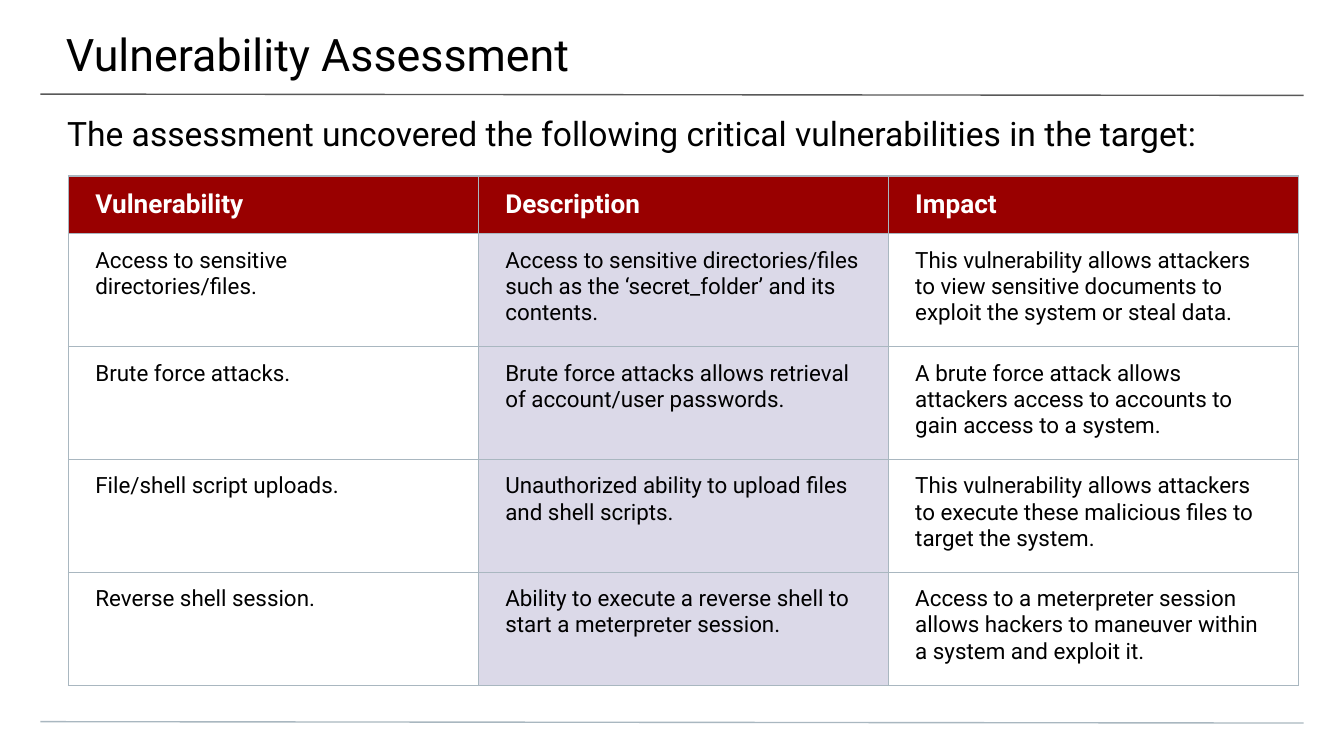
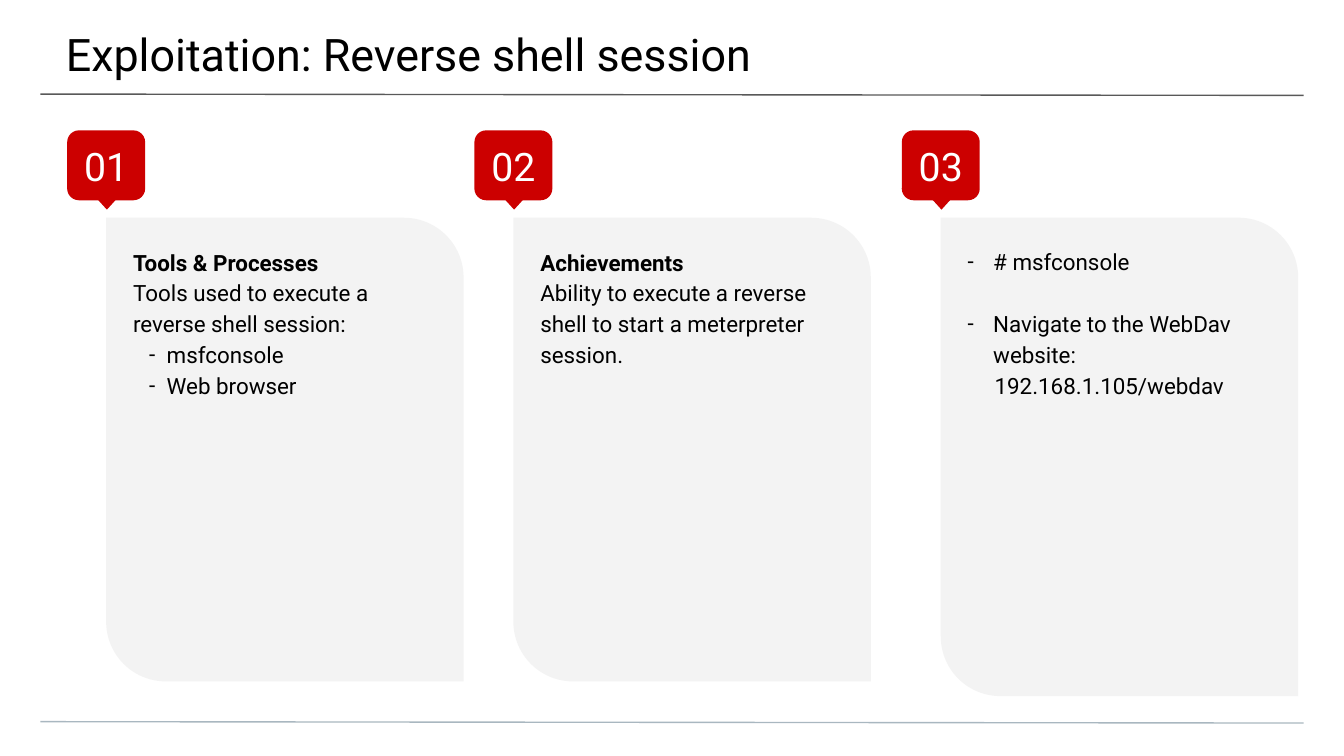
from dataclasses import dataclass

from lxml import etree
from pptx import Presentation
from pptx import util as u
from pptx.dml.color import RGBColor
from pptx.enum import shapes, text
from pptx.oxml import ns

IN = u.Inches
KIND = shapes.MSO_SHAPE


@dataclass(frozen=True)
class Theme:
    font: str = "Roboto"
    black: str = "000000"
    white: str = "FFFFFF"
    rule: str = "595959"
    line: str = "A9B7C0"
    head: str = "990000"
    tint: str = "DBD9E8"
    badge: str = "CC0000"
    panel: str = "F3F3F3"
    title: int = 24
    lead: int = 18
    label: int = 14
    body: int = 12
    count: int = 21
    stroke: float = 0.75


@dataclass(frozen=True)
class Para:
    words: str
    bold: bool = False
    left: float = 0
    hang: float = 0
    before: float = 0


class Deck:
    def __init__(self, theme):
        self.theme = theme
        self.file = Presentation()
        self.file.slide_width = IN(10)
        self.file.slide_height = IN(10) * 9 // 16
        self.slide = None

    def page(self, words):
        t = self.theme
        self.slide = self.file.slides.add_slide(self.file.slide_layouts[5])
        self.line(0.7, t.rule)
        self.line(5.37, t.line)
        title = self.slide.shapes.title
        self.place(title, -0.01, 0, 10.03, 0.58)
        frame = self.frame(title, (0.5, 0.2, 0.3, 0.1))
        self.run(frame.paragraphs[0], words, t.title)

    def place(self, shape, *box):
        shape.left, shape.top, shape.width, shape.height = map(IN, box)

    def insets(self, item, pads):
        (item.margin_left, item.margin_top,
         item.margin_right, item.margin_bottom) = map(IN, pads)

    def frame(self, shape, pads, anchor=text.MSO_ANCHOR.TOP):
        frame = shape.text_frame
        frame.word_wrap = True
        frame.auto_size = text.MSO_AUTO_SIZE.NONE
        frame.vertical_anchor = anchor
        self.insets(frame, pads)
        return frame

    def run(self, para, words, size, color=None, bold=False,
            align=text.PP_ALIGN.LEFT):
        para.alignment = align
        run = para.add_run()
        run.text = words
        font = run.font
        font.name, font.size, font.bold = self.theme.font, u.Pt(size), bold
        font.color.rgb = RGBColor.from_string(color or self.theme.black)

    def line(self, top, color):
        line = self.slide.shapes.add_connector(
            shapes.MSO_CONNECTOR.STRAIGHT,
            IN(0.3), IN(top), IN(9.7), IN(top + 0.01))
        line.line.color.rgb = RGBColor.from_string(color)
        line.line.width = u.Pt(self.theme.stroke)
        etree.SubElement(line._element.spPr, ns.qn("a:effectLst"))

    def shape(self, home, kind, box, color, *rounds):
        shape = home.shapes.add_shape(kind, *map(IN, box))
        shape.shadow.inherit = False
        shape.fill.solid()
        shape.fill.fore_color.rgb = RGBColor.from_string(color)
        shape.line.fill.background()
        for i, value in enumerate(rounds):
            shape.adjustments[i] = value
        return shape

    def text(self, box, pads, paras, size, space=1.0):
        shape = self.slide.shapes.add_textbox(*map(IN, box))
        frame = self.frame(shape, pads)
        for i, item in enumerate(paras):
            para = frame.add_paragraph() if i else frame.paragraphs[0]
            para.line_spacing = space
            if item.before:
                para.space_before = u.Pt(item.before)
            if item.left:
                self.indent(para, item)
            self.run(para, item.words, size, bold=item.bold)

    def indent(self, para, item):
        props = para._p.get_or_add_pPr()
        props.set("marL", str(IN(item.left)))
        props.set("indent", str(-IN(item.hang)))
        if item.hang:
            tint = etree.SubElement(props, ns.qn("a:buClr"))
            etree.SubElement(tint, ns.qn("a:srgbClr"), val=self.theme.black)
            etree.SubElement(props, ns.qn("a:buFont"),
                             typeface=self.theme.font)
            etree.SubElement(props, ns.qn("a:buChar"), char="-")

    def badge(self, left, words):
        t = self.theme
        group = self.slide.shapes.add_group_shape()
        box = self.shape(group, KIND.ROUNDED_RECTANGLE,
                         (left, 0.97, 0.58, 0.52), t.badge, 0.167)
        frame = self.frame(box, (0.1,) * 4, text.MSO_ANCHOR.MIDDLE)
        self.run(frame.paragraphs[0], words, t.count, t.white,
                 align=text.PP_ALIGN.CENTER)
        tip = self.shape(group, KIND.FLOWCHART_EXTRACT,
                         (left + 0.15, 1.4, 0.29, 0.16), t.badge)
        tip.rotation = 180

    def card(self, left, tall, number, paras):
        t = self.theme
        self.shape(self.slide, KIND.ROUND_2_DIAG_RECTANGLE,
                   (left, 1.62, 2.66, tall), t.panel, 0, 0.167)
        self.text((left, 1.62, 2.59, tall), (0.2,) * 4, paras, t.body, 1.15)
        self.badge(left - 0.29, f"{number:02}")

    def border(self, cell):
        props = cell._tc.get_or_add_tcPr()
        for i, side in enumerate(("lnL", "lnR", "lnT", "lnB")):
            edge = etree.Element(ns.qn(f"a:{side}"),
                                 w=str(u.Pt(self.theme.stroke)))
            fill = etree.SubElement(edge, ns.qn("a:solidFill"))
            etree.SubElement(fill, ns.qn("a:srgbClr"), val=self.theme.line)
            props.insert(i, edge)

    def cell(self, cell, words, head, tint):
        t = self.theme
        self.insets(cell, (0.2, 0.1, 0.2, 0.1))
        cell.vertical_anchor = (text.MSO_ANCHOR.MIDDLE if head
                                else text.MSO_ANCHOR.TOP)
        color = t.head if head else t.tint if tint else None
        if color:
            cell.fill.solid()
            cell.fill.fore_color.rgb = RGBColor.from_string(color)
        else:
            cell.fill.background()
        self.border(cell)
        self.run(cell.text_frame.paragraphs[0], words,
                 t.label if head else t.body,
                 t.white if head else t.black, head)

    def table(self, left, top, wide, highs, rows):
        table = self.slide.shapes.add_table(
            len(rows), len(rows[0]), IN(left), IN(top),
            IN(wide * len(rows[0])), IN(sum(highs))).table
        table.first_row = table.horz_banding = False
        for col in table.columns:
            col.width = IN(wide)
        for r, (row, high) in enumerate(zip(rows, highs)):
            table.rows[r].height = IN(high)
            for c, words in enumerate(row):
                self.cell(table.cell(r, c), words, r == 0, c == 1)


RISKS = [
    ("Vulnerability", "Description", "Impact"),
    ("Access to sensitive directories/files.",
     "Access to sensitive directories/files such as the ‘secret_folder’ "
     "and its contents.",
     "This vulnerability allows attackers to view sensitive documents to "
     "exploit the system or steal data."),
    ("Brute force attacks.",
     "Brute force attacks allows retrieval of account/user passwords.",
     "A brute force attack allows attackers access to accounts to gain "
     "access to a system."),
    ("File/shell script uploads.",
     "Unauthorized ability to upload files and shell scripts.",
     "This vulnerability allows attackers to execute these malicious files "
     "to target the system."),
    ("Reverse shell session.",
     "Ability to execute a reverse shell to start a meterpreter session.",
     "Access to a meterpreter session allows hackers to maneuver within a "
     "system and exploit it."),
]

CARDS = [
    (0.79, 3.45, [
        Para("Tools & Processes", bold=True),
        Para("Tools used to execute a reverse shell session:"),
        Para("msfconsole", left=0.25, hang=0.13),
        Para("Web browser", left=0.25, hang=0.13)]),
    (3.82, 3.45, [
        Para("Achievements", bold=True),
        Para("Ability to execute a reverse shell to start a meterpreter "
             "session.")]),
    (7, 3.56, [
        Para("# msfconsole", left=0.19, hang=0.19),
        Para("Navigate to the WebDav website:", left=0.19, hang=0.19,
             before=16.5),
        Para("192.168.1.105/webdav", left=0.2)]),
]


def main():
    deck = Deck(Theme())
    deck.page("Vulnerability Assessment")
    deck.text((0, 0.74, 10, 0.4), (0.5, 0.1, 0.5, 0),
              [Para("The assessment uncovered the following critical "
                    "vulnerabilities in the target:")], deck.theme.lead)
    deck.table(0.51, 1.31, 3.05, [0.43] + [0.84] * 4, RISKS)

    deck.page("Exploitation: Reverse shell session")
    for number, (left, tall, paras) in enumerate(CARDS, 1):
        deck.card(left, tall, number, paras)
    deck.file.save("out.pptx")


if __name__ == "__main__":
    main()
